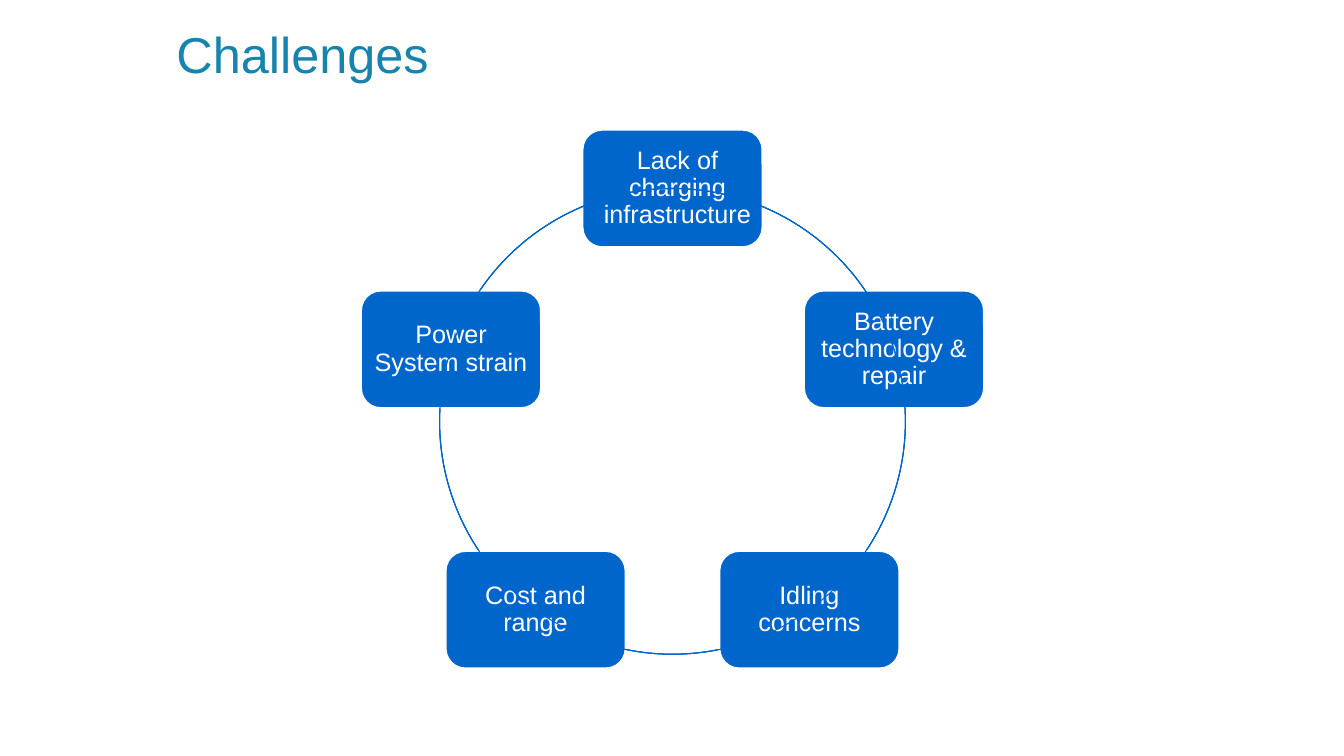
import math
from pptx import Presentation
from pptx import util as u
from pptx.dml.color import RGBColor
from pptx.enum import shapes, text

TEAL = RGBColor(0x16, 0x84, 0xAD)
BLUE = RGBColor(0x00, 0x66, 0xCC)
WHITE = RGBColor(0xFF, 0xFF, 0xFF)

MID_X, MID_Y, RADIUS = 6.67, 4.18, 2.31
BOX_W, BOX_H = 1.78, 1.16
LABELS = [
    "Lack of charging infrastructure",
    "Battery technology & repair",
    "Idling concerns",
    "Cost and range",
    "Power System strain",
]
ARCS = [(292.9, 325.4), (356.8, 33.5), (78.7, 101.3), (146.5, 183.2), (214.6, 247.1)]


class Deck:
    font = "Arial"

    def __init__(self):
        self.show = Presentation()
        self.show.slide_width = u.Inches(13.33)
        self.show.slide_height = u.Inches(7.5)
        self.slide = self.show.slides.add_slide(self.show.slide_layouts[5])

    def style(self, para, size, color, align):
        para.alignment = align
        para.font.name = self.font
        para.font.size = u.Pt(size)
        para.font.color.rgb = color

    def title(self, words, x, y, w, h):
        title = self.slide.shapes.title
        title.left, title.top = u.Inches(x), u.Inches(y)
        title.width, title.height = u.Inches(w), u.Inches(h)
        frame = title.text_frame
        frame.text = words
        frame.vertical_anchor = text.MSO_ANCHOR.MIDDLE
        self.style(frame.paragraphs[0], 36, TEAL, text.PP_ALIGN.LEFT)

    def shape(self, kind, x, y, w, h):
        shape = self.slide.shapes.add_shape(
            kind, u.Inches(x - w / 2), u.Inches(y - h / 2), u.Inches(w), u.Inches(h))
        shape.shadow.inherit = False
        return shape

    def box(self, words, x, y, left=0.07, right=0.07):
        box = self.shape(shapes.MSO_SHAPE.ROUNDED_RECTANGLE, x, y, BOX_W, BOX_H)
        box.fill.solid()
        box.fill.fore_color.rgb = BLUE
        box.line.color.rgb = WHITE
        box.line.width = u.Pt(1)
        frame = box.text_frame
        frame.text = words
        frame.word_wrap = True
        frame.vertical_anchor = text.MSO_ANCHOR.MIDDLE
        frame.margin_left, frame.margin_right = u.Inches(left), u.Inches(right)
        frame.margin_top = frame.margin_bottom = u.Inches(0.07)
        para = frame.paragraphs[0]
        para.line_spacing = 0.9
        self.style(para, 18, WHITE, text.PP_ALIGN.CENTER)

    def arc(self, start, end):
        arc = self.shape(shapes.MSO_SHAPE.ARC, MID_X, MID_Y, 2 * RADIUS, 2 * RADIUS)
        for i, angle in enumerate((start, end)):
            arc.adjustments[i] = (angle if angle <= 180 else angle - 360) * 0.6
        arc.fill.background()
        arc.line.color.rgb = BLUE
        arc.line.width = u.Pt(0.75)


def main():
    deck = Deck()
    deck.title("Challenges", 1.65, 0.21, 11.02, 0.64)
    for i, (label, span) in enumerate(zip(LABELS, ARCS)):
        turn = math.tau * i / len(LABELS)
        x = MID_X + RADIUS * math.sin(turn)
        y = MID_Y - RADIUS * math.cos(turn)
        pads = (0.1, 0) if i == 0 else (0.07, 0.07)
        deck.box(label, x, y, *pads)
        deck.arc(*span)
    deck.show.save("out.pptx")


if __name__ == "__main__":
    main()
